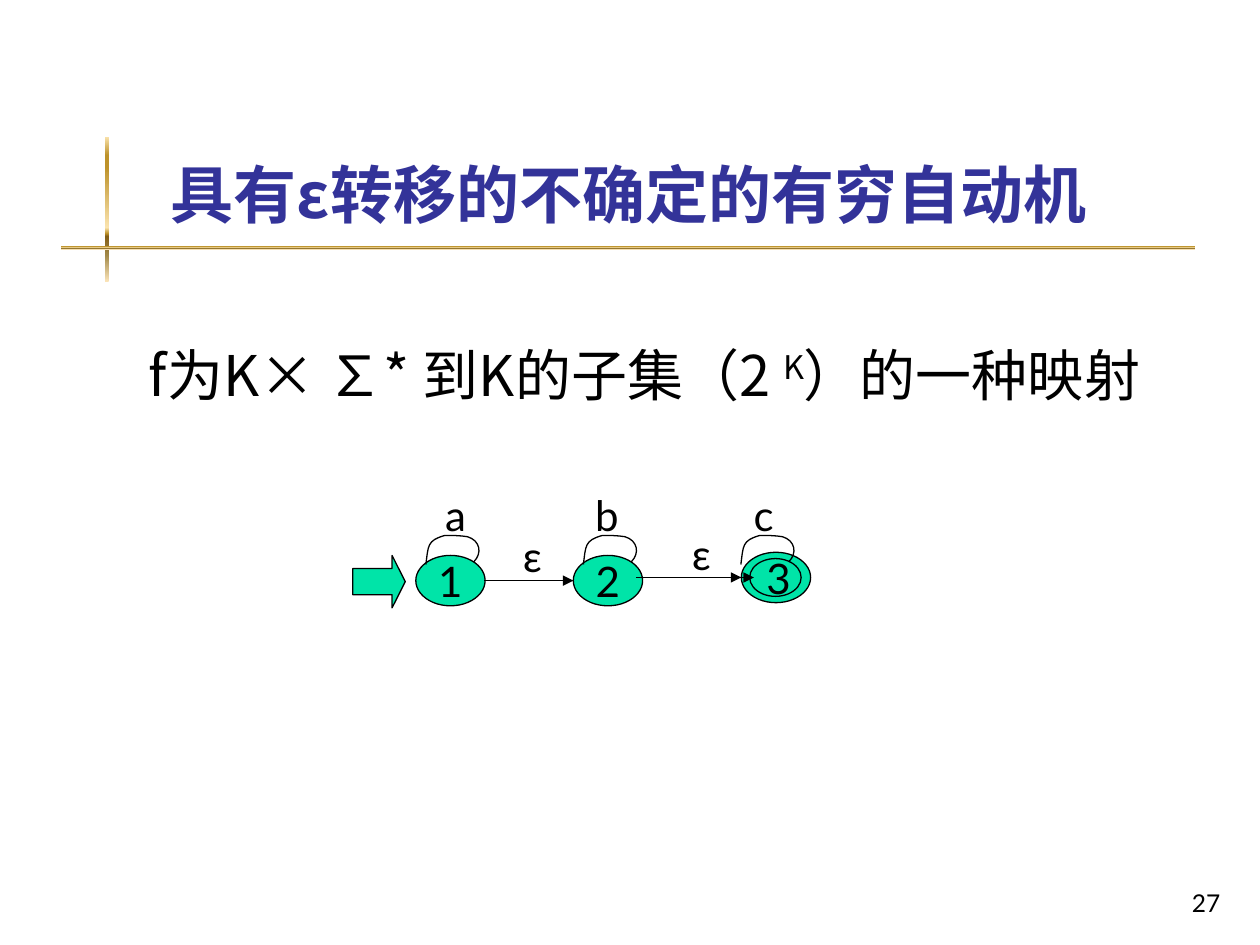
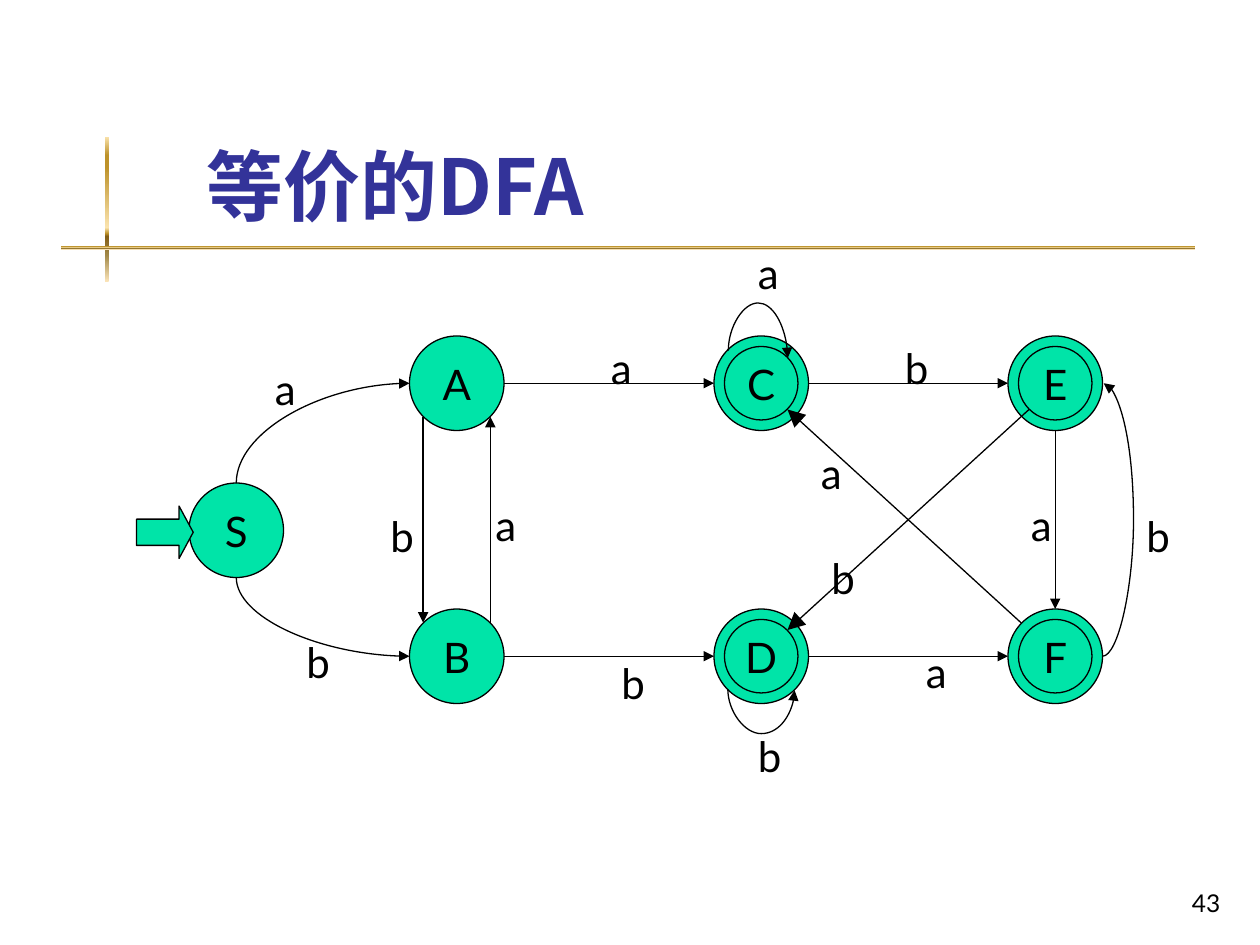
from lxml import etree
from pptx import Presentation
from pptx import util as u
from pptx.dml.color import RGBColor
from pptx.enum import shapes, text
from pptx.oxml.ns import qn

COLORS = {"node": "00E4A8", "ink": "000000", "title": "333399"}
GOLD_STOPS = [(0, "FBE4AE"), (13, "BD922A"), (21, "BD922A"), (63, "FBE4AE"),
              (67, "BD922A"), (69, "835E17"), (82, "A28949"), (100, "FAE3B7")]
LATIN, CHINESE = "Lato", "Noto Sans CJK JP"
COLUMNS = 120
PRESET = shapes.MSO_SHAPE
LINK = shapes.MSO_CONNECTOR
ALIGN = text.PP_ALIGN
ANCHOR = text.MSO_ANCHOR

presentation = Presentation()
presentation.slide_width = u.Inches(10)
presentation.slide_height = u.Inches(7.5)
CELL = presentation.slide_width // COLUMNS


def add_item(slide, preset, left, top, width, height, words="", size=24, font=LATIN,
             color="ink", align=ALIGN.CENTER, anchor=ANCHOR.MIDDLE, wrap=False):
    box = [round(value * CELL) for value in (left, top, width, height)]
    if preset is None:
        shape = slide.shapes.add_textbox(*box)
    else:
        shape = slide.shapes.add_shape(preset, *box)
        shape.shadow.inherit = False
        shape.fill.solid()
        shape.fill.fore_color.rgb = RGBColor.from_string(COLORS["node"])
        shape.line.color.rgb = RGBColor.from_string(COLORS["ink"])
        shape.line.width = u.Pt(0.75)
    if words:
        frame = shape.text_frame
        frame.word_wrap = wrap
        frame.vertical_anchor = anchor
        paragraph = frame.paragraphs[0]
        paragraph.text = words
        paragraph.alignment = align
        paragraph.font.size = u.Pt(size)
        paragraph.font.name = font
        paragraph.font.color.rgb = RGBColor.from_string(COLORS[color])
        etree.SubElement(paragraph.font._rPr, qn("a:ea"), typeface=font)
    return shape


def add_arrow(slide, kind, start_x, start_y, end_x, end_y, head="med"):
    ends = [round(value * CELL) for value in (start_x, start_y, end_x, end_y)]
    connector = slide.shapes.add_connector(kind, *ends)
    connector.line.color.rgb = RGBColor.from_string(COLORS["ink"])
    connector.line.width = u.Pt(0.75)
    etree.SubElement(connector.line._ln, qn("a:tailEnd"), type="triangle", w=head, len=head)
    etree.SubElement(connector._element.spPr, qn("a:effectLst"))
    return connector


slides = []
for title, title_size, title_indent, number in [
    ("具有ε转移的不确定的有穷自动机", 36, 0.1, "27"),
    ("等价的DFA", 44, 0.38, "43"),
]:
    slide = presentation.slides.add_slide(presentation.slide_layouts[6])
    slides.append(slide)
    for band in [(10, 13, 0.36, 13.8), (5.8, 23.4, 108, 0.36)]:
        bar = add_item(slide, PRESET.RECTANGLE, *band)
        bar.line.fill.background()
        bar.fill.gradient()
        bar.fill.gradient_angle = 270
        stops = bar._element.spPr.find(".//" + qn("a:gsLst"))
        for stop in list(stops):
            stops.remove(stop)
        for percent, color in GOLD_STOPS:
            stop = etree.SubElement(stops, qn("a:gs"), pos=str(percent * 1000))
            etree.SubElement(stop, qn("a:srgbClr"), val=color)
    heading = add_item(slide, None, 15.1, 2.8, 102.2, 19.2, title, title_size, CHINESE,
                       "title", ALIGN.LEFT, ANCHOR.BOTTOM, True)
    heading.text_frame.paragraphs[0].font.bold = True
    heading.text_frame.margin_left = u.Inches(title_indent)
    heading.text_frame.margin_bottom = 0
    add_item(slide, None, 92.4, 82, 25, 6, number, 14,
             align=ALIGN.RIGHT, anchor=ANCHOR.BOTTOM, wrap=True)

epsilon_slide, dfa_slide = slides

definition = add_item(epsilon_slide, None, 13, 31.7, 102, 49, "f为K× ∑* 到K的子集（2 ", 32,
                      CHINESE, align=ALIGN.LEFT, anchor=ANCHOR.TOP, wrap=True)
paragraph = definition.text_frame.paragraphs[0]
paragraph.line_spacing = u.Pt(39)
properties = paragraph._p.get_or_add_pPr()
properties.set("marL", str(u.Inches(0.38)))
properties.set("indent", str(-u.Inches(0.38)))
exponent = paragraph.add_run()
exponent.text = "K"
exponent.font._element.set("baseline", "30000") if hasattr(exponent.font, "_element") else exponent.font._rPr.set("baseline", "30000")
paragraph.add_run().text = "）的一种映射"

STATE_STEP = 15
for left, top, width, height, state in [
    (39.6, 52.9, 6.6, 4.8, "1"),
    (54.6, 52.9, 6.6, 4.8, "2"),
    (70.6, 52.6, 6.6, 4.8, ""),
    (71.4, 53.2, 4.9, 3.6, ""),
]:
    add_item(epsilon_slide, PRESET.OVAL, left, top, width, height, state)
add_item(epsilon_slide, None, 71.8, 52, 4.4, 6, "3")
start_arrow = add_item(epsilon_slide, PRESET.RIGHT_ARROW, 33.6, 52.9, 5, 5)
start_arrow.adjustments[1] = 0.25

LOOP = [(40.56, 53.76), (40.8, 51.96), (40.68, 51.48), (42.36, 51), (43.08, 51),
        (43.8, 51), (44.52, 51.12), (45.72, 51.48), (45.96, 52.68), (45.12, 53.52)]
for state in range(3):
    points = [(round((x + state * STATE_STEP) * CELL), round(y * CELL)) for x, y in LOOP]
    builder = epsilon_slide.shapes.build_freeform(*points[0])
    builder.add_line_segments(points[1:], close=False)
    loop = builder.convert_to_shape()
    loop.shadow.inherit = False
    loop.fill.background()
    loop.line.color.rgb = RGBColor.from_string(COLORS["ink"])
    loop.line.width = u.Pt(0.75)
    outline = loop._element.spPr.find(".//" + qn("a:path"))
    segments = outline.findall(qn("a:lnTo"))
    for first in range(0, len(segments), 3):
        curve = etree.SubElement(outline, qn("a:cubicBezTo"))
        for segment in segments[first:first + 3]:
            curve.append(segment[0])
            outline.remove(segment)

for ends in [(46.1, 55.3, 54.6, 55.3), (61.5, 55, 70.6, 55), (60.6, 55, 71.8, 55)]:
    add_arrow(epsilon_slide, LINK.STRAIGHT, *ends)
for label, left, top in [("ε", 48.6, 49.9), ("ε", 64.7, 49.7),
                         ("a", 41.2, 46), ("b", 55.5, 46), ("c", 70.6, 46)]:
    add_item(epsilon_slide, None, left, top, 4.2, 6, label)

NODE, RING = 9, 1
LEFT_COLUMN, MIDDLE_COLUMN, RIGHT_COLUMN = 39, 68, 96
TOP_ROW, BOTTOM_ROW = 32, 58
STATES = {
    "S": (18, 46, False),
    "A": (LEFT_COLUMN, TOP_ROW, False), "B": (LEFT_COLUMN, BOTTOM_ROW, False),
    "C": (MIDDLE_COLUMN, TOP_ROW, True), "D": (MIDDLE_COLUMN, BOTTOM_ROW, True),
    "E": (RIGHT_COLUMN, TOP_ROW, True), "F": (RIGHT_COLUMN, BOTTOM_ROW, True),
}
for state, (left, top, accepting) in STATES.items():
    if state == "F":
        for target, source in [(TOP_ROW + 7, BOTTOM_ROW + 2), (BOTTOM_ROW + 2, TOP_ROW + 7)]:
            add_arrow(dfa_slide, LINK.STRAIGHT, 98, source, 75, target, "lg")
    add_item(dfa_slide, PRESET.OVAL, left, top, NODE, NODE, "" if accepting else state)
    if accepting:
        add_item(dfa_slide, PRESET.OVAL, left + RING, top + RING,
                 NODE - 2 * RING, NODE - 2 * RING, state)

for row in (TOP_ROW, BOTTOM_ROW):
    middle = row + NODE / 2
    for source, target in [(LEFT_COLUMN, MIDDLE_COLUMN), (MIDDLE_COLUMN, RIGHT_COLUMN)]:
        add_arrow(dfa_slide, LINK.STRAIGHT, source + NODE, middle, target, middle)
for x, source, target in [(46.7, 59.3, 39.7), (40.3, 39.7, 59.3), (100.5, 41, 58)]:
    add_arrow(dfa_slide, LINK.STRAIGHT, x, source, x, target)

for ends, turn, preset, bend in [
    ((26, 33, 35.5, 49.5), 270, "curvedConnector2", None),
    ((34.5, 50.5, 27, 67), 270, "curvedConnector2", None),
    ((105, 62.5, 105.12, 36.5), 0, "curvedConnector3", 25),
    ((71.85, 36.58, 72.55, 30.92), 90, "curvedConnector3", -6.5),
    ((72.56, 62.5, 72.44, 68.86), 270, "curvedConnector3", 36),
]:
    properties = add_arrow(dfa_slide, LINK.CURVE, *ends)._element.spPr
    properties.find(qn("a:xfrm")).set("rot", str(turn * 60000))
    geometry = properties.find(qn("a:prstGeom"))
    geometry.set("prst", preset)
    if bend is not None:
        guides = geometry.find(qn("a:avLst"))
        etree.SubElement(guides, qn("a:gd"), name="adj1", fmla=f"val {round(bend * 100000)}")

for label, left, top in [
    ("a", 71, 23), ("b", 108, 48), ("a", 25, 34), ("a", 46, 47), ("a", 57, 32),
    ("a", 97, 47), ("a", 87, 61), ("b", 28, 60), ("b", 36, 48), ("b", 58, 62),
    ("b", 85, 32), ("b", 71, 69), ("a", 77, 42), ("b", 78, 52),
]:
    add_item(dfa_slide, None, left, top, 4.3, 6, label)
start_arrow = add_item(dfa_slide, PRESET.RIGHT_ARROW, 13, 48.2, 5.4, 5)
start_arrow.adjustments[1] = 0.27

presentation.save("out.pptx")
